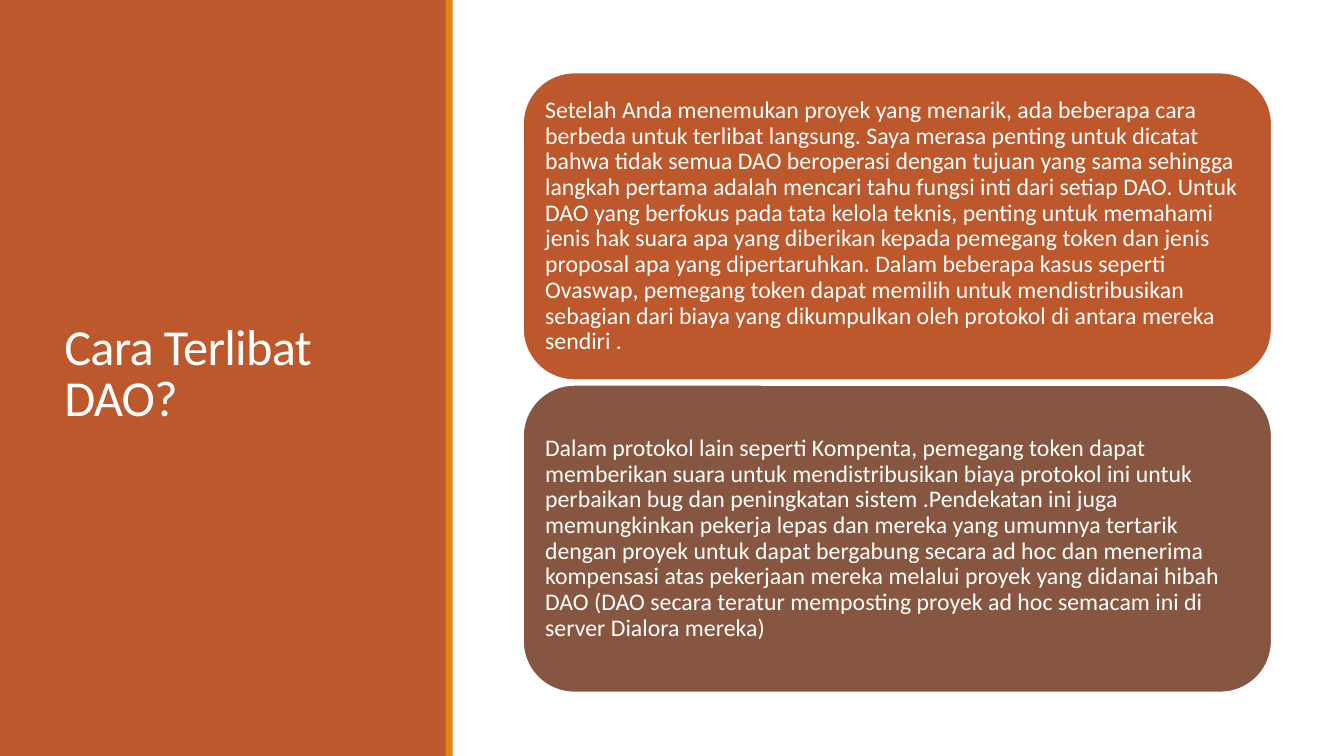
from dataclasses import dataclass

from pptx import Presentation
from pptx.dml.color import RGBColor
from pptx.enum.shapes import MSO_SHAPE
from pptx.enum.text import MSO_ANCHOR, MSO_AUTO_SIZE, PP_ALIGN
from pptx.util import Cm, Pt


@dataclass(frozen=True)
class Theme:
    font: str = "Calibri"
    rust: str = "BD582C"
    orange: str = "E48312"
    brown: str = "865640"
    white: str = "FFFFFF"
    title_size: float = 36
    body_size: float = 17


THEME = Theme()
SLIDE_WIDTH, SLIDE_HEIGHT = 33.87, 19.05

HEADING = "Cara Terlibat DAO?"
WAYS_TO_JOIN = [
    (THEME.rust,
     "Setelah Anda menemukan proyek yang menarik, ada beberapa cara berbeda untuk "
     "terlibat langsung. Saya merasa penting untuk dicatat bahwa tidak semua DAO "
     "beroperasi dengan tujuan yang sama sehingga langkah pertama adalah mencari tahu "
     "fungsi inti dari setiap DAO. Untuk DAO yang berfokus pada tata kelola teknis, "
     "penting untuk memahami jenis hak suara apa yang diberikan kepada pemegang token "
     "dan jenis proposal apa yang dipertaruhkan. Dalam beberapa kasus seperti Ovaswap, "
     "pemegang token dapat memilih untuk mendistribusikan sebagian dari biaya yang "
     "dikumpulkan oleh protokol di antara mereka sendiri ."),
    (THEME.brown,
     "Dalam protokol lain seperti Kompenta, pemegang token dapat memberikan suara untuk "
     "mendistribusikan biaya protokol ini untuk perbaikan bug dan peningkatan sistem "
     ".Pendekatan ini juga memungkinkan pekerja lepas dan mereka yang umumnya tertarik "
     "dengan proyek untuk dapat bergabung secara ad hoc dan menerima kompensasi atas "
     "pekerjaan mereka melalui proyek yang didanai hibah DAO (DAO secara teratur "
     "memposting proyek ad hoc semacam ini di server Dialora mereka)"),
]


def write_text(frame, text, *, size, line_spacing, margin, tracking=None):
    frame.word_wrap = True
    frame.auto_size = MSO_AUTO_SIZE.NONE
    frame.vertical_anchor = MSO_ANCHOR.MIDDLE
    frame.margin_left = frame.margin_right = Cm(margin)
    frame.margin_top = frame.margin_bottom = Cm(margin)
    paragraph = frame.paragraphs[0]
    paragraph.alignment = PP_ALIGN.LEFT
    paragraph.line_spacing = line_spacing
    run = paragraph.add_run()
    run.text = text
    run.font.name = THEME.font
    run.font.size = Pt(size)
    run.font.color.rgb = RGBColor.from_string(THEME.white)
    if tracking is not None:
        run.font._element.set("spc", str(tracking))


def add_block(slide, kind, left, top, width, height, fill, outline=None):
    block = slide.shapes.add_shape(kind, Cm(left), Cm(top), Cm(width), Cm(height))
    block.shadow.inherit = False
    block.fill.solid()
    block.fill.fore_color.rgb = RGBColor.from_string(fill)
    if outline:
        block.line.color.rgb = RGBColor.from_string(outline)
        block.line.width = Pt(1.25)
    else:
        block.line.fill.background()
    return block


def build_title_panel(slide, left, top, width, height):
    add_block(slide, MSO_SHAPE.RECTANGLE, left, top, width, height, THEME.rust)
    add_block(slide, MSO_SHAPE.RECTANGLE, left + width - 0.02, top, 0.18, height,
              THEME.orange)

    # Title in front of the panel
    title = slide.shapes.title
    title.left, title.top = Cm(left + 1.37), Cm(top + 1.45)
    title.width, title.height = Cm(width - 2.69), Cm(height - 3.02)
    write_text(title.text_frame, HEADING, size=THEME.title_size,
               line_spacing=0.85, margin=0.25, tracking=-50)
    slide.shapes._spTree.append(title._element)


def build_cards(slide, left, top, width, height, gap=0.12):
    count = len(WAYS_TO_JOIN)
    card_height = (height - gap * (count - 1)) / count
    for index, (fill, text) in enumerate(WAYS_TO_JOIN):
        card = add_block(slide, MSO_SHAPE.ROUNDED_RECTANGLE, left,
                         top + index * (card_height + gap), width, card_height,
                         fill, outline=THEME.white)
        write_text(card.text_frame, text, size=THEME.body_size,
                   line_spacing=0.9, margin=0.18)


def main():
    deck = Presentation()
    deck.slide_width, deck.slide_height = Cm(SLIDE_WIDTH), Cm(SLIDE_HEIGHT)
    slide = deck.slides.add_slide(deck.slide_layouts.get_by_name("Title Only"))
    build_title_panel(slide, 0, 0, 11.25, SLIDE_HEIGHT)
    build_cards(slide, 13.18, 1.83, 18.87, 15.62)
    deck.save("out.pptx")


if __name__ == "__main__":
    main()
